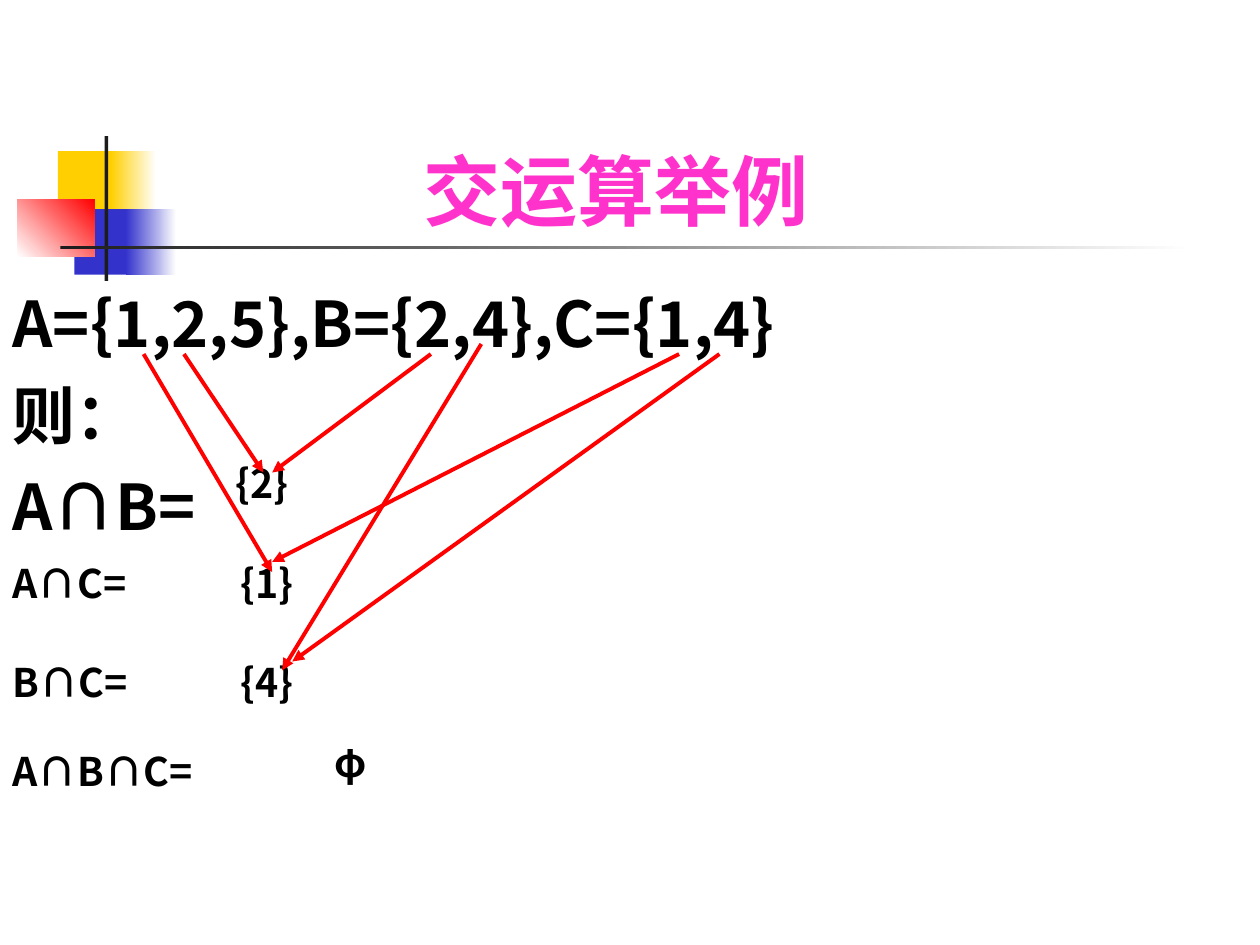
from lxml.etree import SubElement
from pptx import Presentation
from pptx.dml.color import RGBColor
from pptx.enum.shapes import MSO_CONNECTOR, MSO_SHAPE
from pptx.enum.text import MSO_ANCHOR, MSO_AUTO_SIZE, PP_ALIGN
from pptx.oxml.ns import qn
from pptx.util import Inches, Pt

FONT = "Noto Sans CJK JP"
BLACK = RGBColor(0, 0, 0)
WHITE = RGBColor(255, 255, 255)
PINK = RGBColor(0xFF, 0x33, 0xCC)
RED = RGBColor(255, 0, 0)
GOLD = RGBColor(0xFF, 0xCF, 0x01)
BLUE = RGBColor(0x33, 0x33, 0xCC)
DARK = RGBColor(0x1C, 0x1C, 0x1C)

TITLE = "交运算举例"
LINES = ["A={1,2,5},B={2,4},C={1,4}", "则：", "A∩B="]

DECOR = [
    ((0.46, 1.2, 0.48, 0.52), (GOLD,), 0),
    ((0.88, 1.2, 0.36, 0.52), (GOLD, WHITE), 0),
    ((0.59, 1.66, 0.46, 0.52), (BLUE,), 0),
    ((1, 1.66, 0.4, 0.52), (BLUE, WHITE), 0),
    ((0.14, 1.58, 0.61, 0.46), (WHITE, RED), 45),
    ((0.83, 1.08, 0.03, 1.15), (DARK,), 0),
    ((0.48, 1.95, 9, 0.03), (DARK, WHITE), 0),
]

LABELS = [
    ("{2}", 1.77, 3.67, 0.83),
    ("A∩C=", 0, 4.46, 1.85),
    ("{1}", 1.81, 4.46, 0.83),
    ("B∩C=", 0, 5.25, 1.77),
    ("{4}", 1.81, 5.25, 0.83),
    ("A∩B∩C=", 0, 5.95, 3.19),
    ("φ", 2.56, 5.88, 0.53),
]

ARROWS = [
    ((1.46, 2.81), (2.09, 3.75)),
    ((3.42, 2.81), (2.16, 3.75)),
    ((1.14, 2.81), (2.16, 4.54)),
    ((5.39, 2.81), (2.16, 4.46)),
    ((3.82, 2.73), (2.24, 5.32)),
    ((5.71, 2.81), (2.32, 5.25)),
]


def place(shape, box):
    shape.left, shape.top, shape.width, shape.height = map(Inches, box)


def style(para, size, color):
    for run in para.runs:
        font = run.font
        font.name, font.size, font.bold = FONT, Pt(size), True
        font.color.rgb = color
        SubElement(run._r.get_or_add_rPr(), qn("a:ea"), typeface=FONT)


def hang(para):
    props = para._p.get_or_add_pPr()
    props.set("marL", str(Inches(0.38)))
    props.set("indent", str(Inches(-0.38)))
    SubElement(props, qn("a:buNone"))


def add_decor(slide, box, colors, angle):
    shape = slide.shapes.add_shape(MSO_SHAPE.RECTANGLE, *map(Inches, box))
    shape.shadow.inherit = False
    shape.line.fill.background()
    fill = shape.fill
    if len(colors) == 1:
        fill.solid()
        fill.fore_color.rgb = colors[0]
        return
    fill.gradient()
    fill.gradient_angle = angle
    for pos, (stop, color) in enumerate(zip(fill.gradient_stops, colors)):
        stop.position = pos
        stop.color.rgb = color


def add_label(slide, text, left, top, width):
    box = slide.shapes.add_textbox(*map(Inches, (left, top, width, 0.5)))
    frame = box.text_frame
    frame.word_wrap = True
    frame.text = text
    para = frame.paragraphs[0]
    hang(para)
    para.line_spacing = 0.8
    style(para, 22.5, BLACK)


def add_arrow(slide, start, end):
    arrow = slide.shapes.add_connector(
        MSO_CONNECTOR.STRAIGHT, *map(Inches, start + end))
    arrow.line.color.rgb = RED
    arrow.line.width = Pt(2.25)
    SubElement(arrow.line._get_or_add_ln(), qn("a:tailEnd"), type="triangle")
    SubElement(arrow._element.spPr, qn("a:effectLst"))


def main():
    deck = Presentation()
    deck.slide_width, deck.slide_height = Inches(10), Inches(7.5)
    slide = deck.slides.add_slide(deck.slide_layouts[1])
    for item in DECOR:
        add_decor(slide, *item)

    title, body = slide.placeholders
    place(title, (0, 0.67, 9.78, 1.25))
    place(body, (0, 2.21, 9.79, 2.49))
    for shape, anchor in ((title, MSO_ANCHOR.BOTTOM), (body, MSO_ANCHOR.TOP)):
        frame = shape.text_frame
        frame.auto_size = MSO_AUTO_SIZE.NONE
        frame.word_wrap = True
        frame.vertical_anchor = anchor

    title.text_frame.text = TITLE
    head = title.text_frame.paragraphs[0]
    head.alignment = PP_ALIGN.CENTER
    style(head, 44, PINK)

    body.text_frame.text = "\n".join(LINES)
    for num, para in enumerate(body.text_frame.paragraphs):
        hang(para)
        para.space_before = Pt(9 if num else 0)
        style(para, 36, BLACK)

    for item in LABELS:
        add_label(slide, *item)
    for item in ARROWS:
        add_arrow(slide, *item)
    deck.save("out.pptx")


if __name__ == "__main__":
    main()
